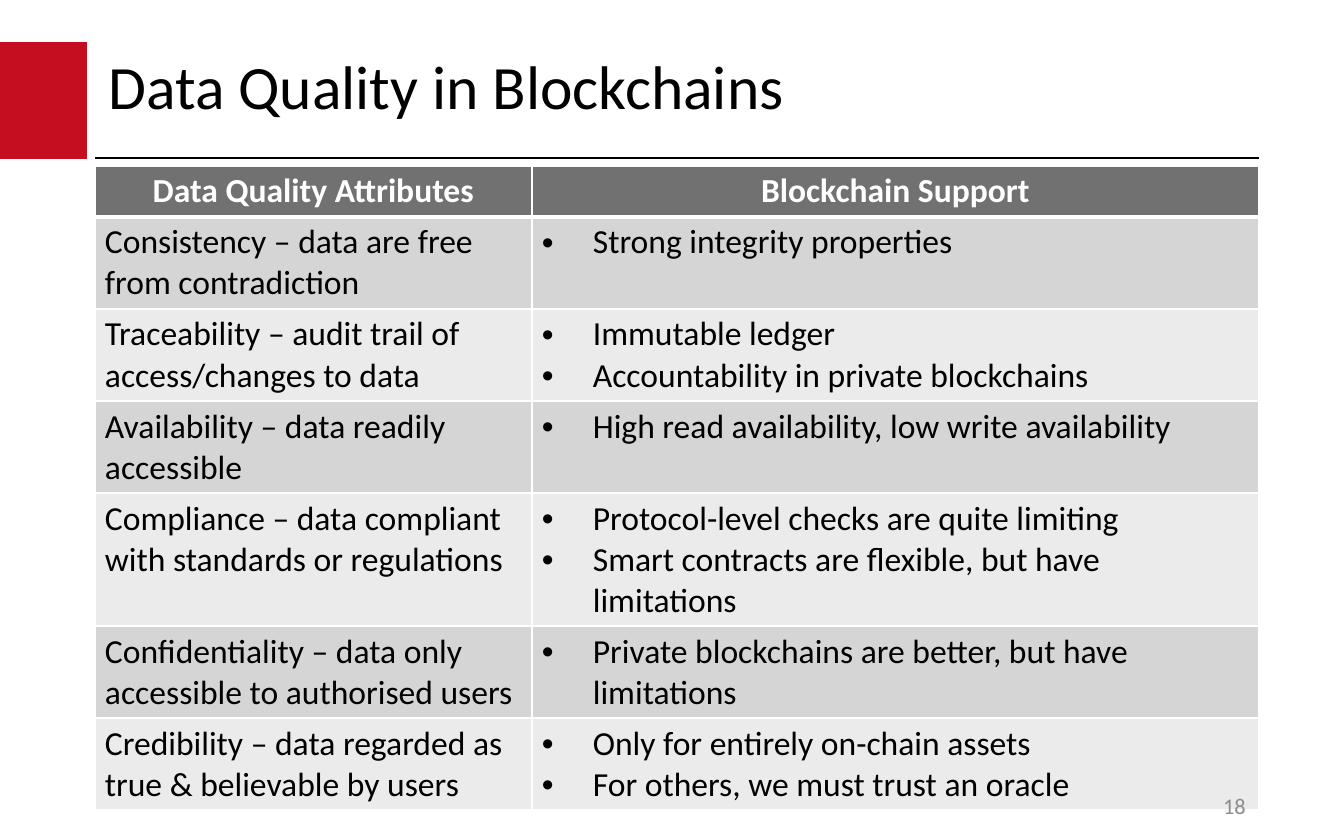
from dataclasses import dataclass

from lxml.etree import SubElement
from pptx import Presentation
from pptx.dml.color import RGBColor
from pptx.enum.shapes import MSO_CONNECTOR, MSO_SHAPE
from pptx.enum.text import MSO_ANCHOR, MSO_AUTO_SIZE, PP_ALIGN
from pptx.oxml.ns import qn
from pptx.util import Emu, Pt


@dataclass(frozen=True)
class Theme:
    font: str = "Calibri"
    title_size: int = 33
    table_size: int = 18
    number_size: int = 12
    ink: str = "000000"
    paper: str = "FFFFFF"
    accent: str = "C50E1F"
    header: str = "717171"
    bands: tuple = ("D5D5D5", "EBEBEB")
    number: str = "8C8C8C"


def px(count):
    return Emu(round(count * 914400 / 134.4))


def write(frame, lines, size, color=Theme.ink, bold=False,
          align=PP_ALIGN.LEFT, spacing=1.0, bullet=False):
    frame.word_wrap = True
    for position, line in enumerate(lines):
        paragraph = frame.add_paragraph() if position else frame.paragraphs[0]
        paragraph.alignment = align
        paragraph.line_spacing = spacing
        if bullet:
            properties = paragraph._p.get_or_add_pPr()
            properties.set("marL", str(px(51)))
            properties.set("indent", str(-px(51)))
            SubElement(properties, qn("a:buFont"), typeface="Arial")
            SubElement(properties, qn("a:buChar"), char="•")
        run = paragraph.add_run()
        run.text = line
        run.font.name = Theme.font
        run.font.size = Pt(size)
        run.font.bold = bold
        run.font.color.rgb = RGBColor.from_string(color)


theme = Theme()
left, width = 95, 1164
deck = Presentation()
deck.slide_width, deck.slide_height = px(1344), px(840)
slide = deck.slides.add_slide(deck.slide_layouts[5])

accent_block = slide.shapes.add_shape(MSO_SHAPE.RECTANGLE, 0, px(42), px(87), px(117))
accent_block.shadow.inherit = False
accent_block.fill.solid()
accent_block.fill.fore_color.rgb = RGBColor.from_string(theme.accent)
accent_block.line.fill.background()

title_rule = slide.shapes.add_connector(
    MSO_CONNECTOR.STRAIGHT, px(left), px(158), px(left + width), px(158))
title_rule.line.color.rgb = RGBColor.from_string(theme.ink)
title_rule.line.width = Pt(0.75)
SubElement(title_rule._element.spPr, qn("a:effectLst"))

heading = slide.shapes.title
heading.left, heading.top, heading.width, heading.height = px(left), px(42), px(width), px(95)
heading.text_frame.auto_size = MSO_AUTO_SIZE.NONE
heading.text_frame.vertical_anchor = MSO_ANCHOR.MIDDLE
write(heading.text_frame, ["Data Quality in Blockchains"], theme.title_size, spacing=0.9)

qualities = [
    ("Data Quality Attributes", ["Blockchain Support"]),
    ("Consistency – data are free from contradiction",
     ["Strong integrity properties"]),
    ("Traceability – audit trail of access/changes to data",
     ["Immutable ledger", "Accountability in private blockchains"]),
    ("Availability – data readily accessible",
     ["High read availability, low write availability"]),
    ("Compliance – data compliant with standards or regulations",
     ["Protocol-level checks are quite limiting",
      "Smart contracts are flexible, but have limitations"]),
    ("Confidentiality – data only accessible to authorised users",
     ["Private blockchains are better, but have limitations"]),
    ("Credibility – data regarded as true & believable by users",
     ["Only for entirely on-chain assets", "For others, we must trust an oracle"]),
]
row_heights = [50, 92, 92, 92, 133, 92, 92]
column_widths = [437, 727]

support_table = slide.shapes.add_table(
    len(qualities), 2, px(left), px(166), px(width), px(sum(row_heights))).table
support_table.horz_banding = False
for column, column_width in zip(support_table.columns, column_widths):
    column.width = px(column_width)

for row, (attribute, support) in enumerate(qualities):
    support_table.rows[row].height = px(row_heights[row])
    is_header = row == 0
    for column, lines in enumerate([[attribute], support]):
        cell = support_table.cell(row, column)
        cell.margin_left = cell.margin_right = px(10)
        cell.margin_top = cell.margin_bottom = px(5)
        borders = {"lnL": 1, "lnR": 1, "lnT": 3 if row == 1 else 1, "lnB": 3 if is_header else 1}
        for side, points in borders.items():
            border = SubElement(cell._tc.get_or_add_tcPr(), qn(f"a:{side}"), w=str(Pt(points)))
            SubElement(SubElement(border, qn("a:solidFill")), qn("a:srgbClr"), val=theme.paper)
        cell.fill.solid()
        cell.fill.fore_color.rgb = RGBColor.from_string(
            theme.header if is_header else theme.bands[(row - 1) % 2])
        write(cell.text_frame, lines, theme.table_size,
              color=theme.paper if is_header else theme.ink,
              bold=is_header,
              align=PP_ALIGN.CENTER if is_header else PP_ALIGN.LEFT,
              bullet=column == 1 and not is_header)

page_number = slide.shapes.add_textbox(px(986), px(789), px(273), px(34))
page_number.text_frame.vertical_anchor = MSO_ANCHOR.MIDDLE
write(page_number.text_frame, ["18"], theme.number_size, color=theme.number, align=PP_ALIGN.RIGHT)

deck.save("out.pptx")
